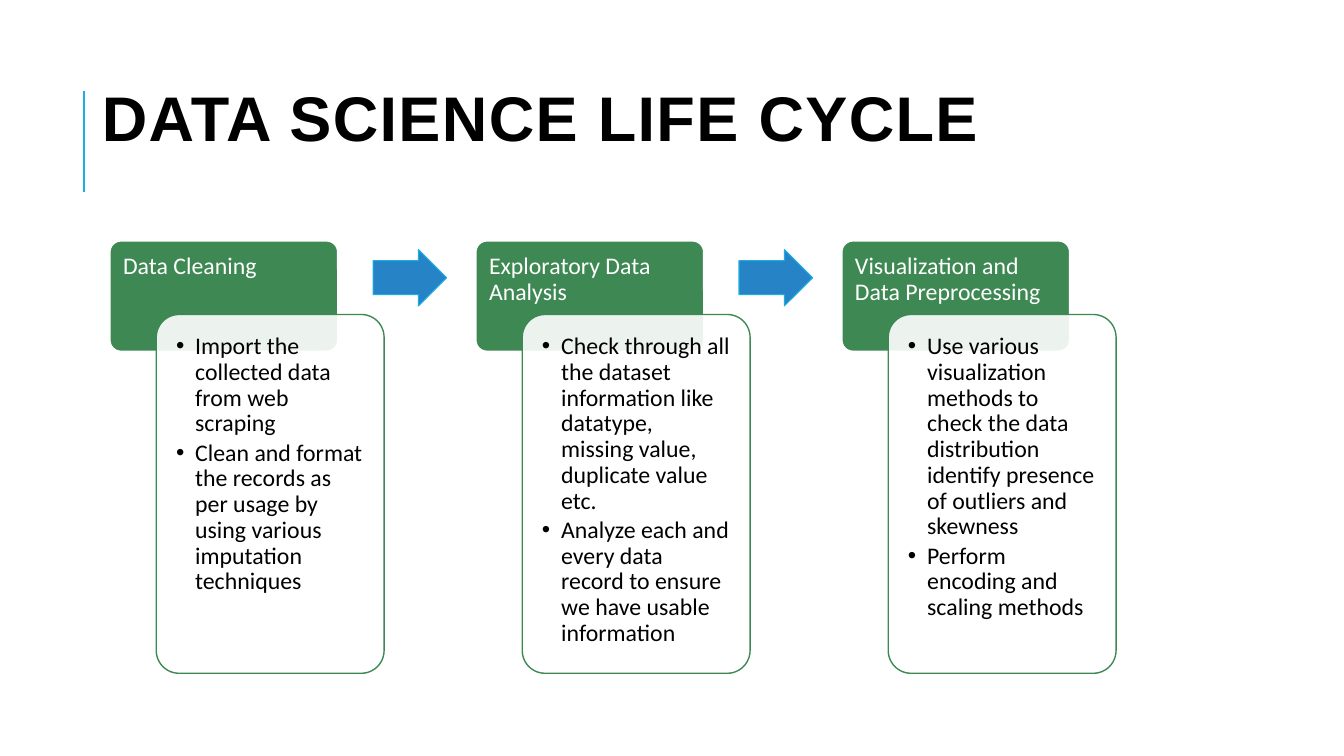
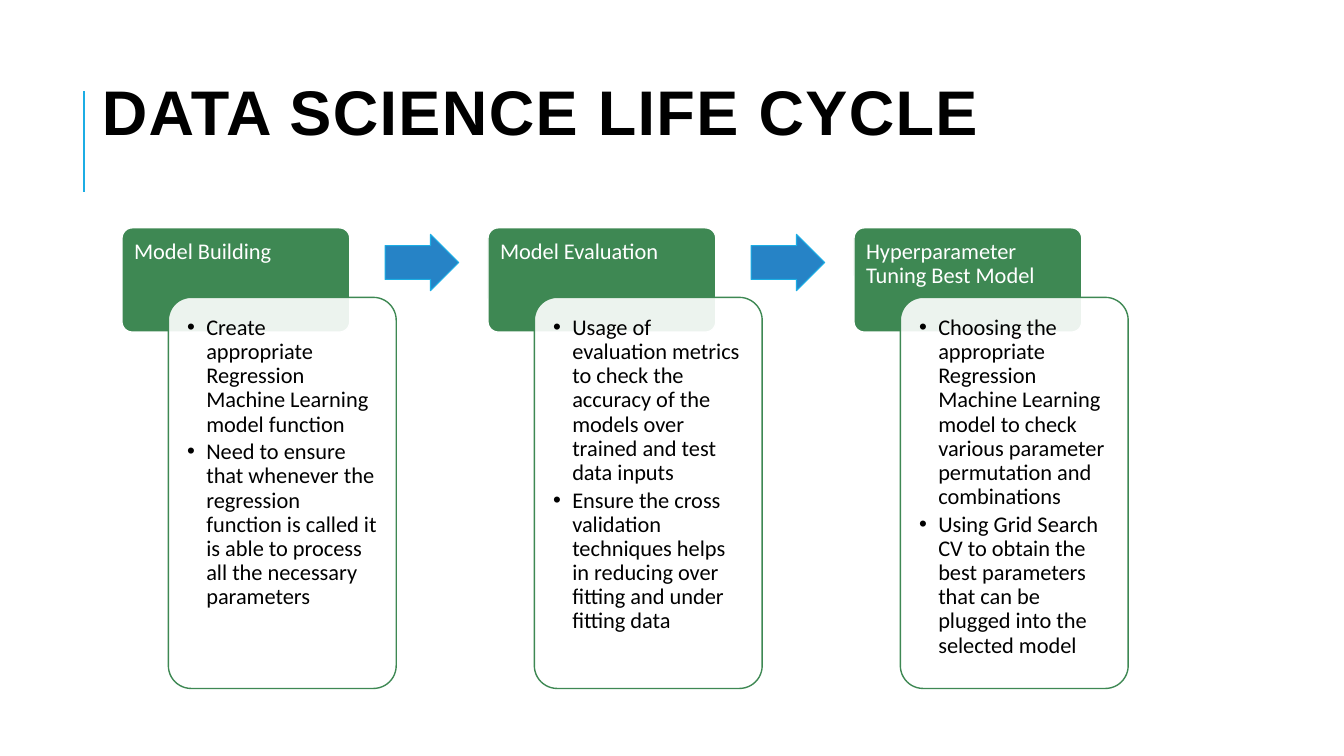
from dataclasses import dataclass

from lxml import etree
from pptx import Presentation
from pptx.dml.color import RGBColor
from pptx.enum.shapes import MSO_CONNECTOR, MSO_SHAPE
from pptx.enum.text import MSO_ANCHOR, PP_ALIGN
from pptx.oxml.ns import qn
from pptx.util import Inches, Pt

ROUND, ARROW = MSO_SHAPE.ROUNDED_RECTANGLE, MSO_SHAPE.RIGHT_ARROW
STRAIGHT = MSO_CONNECTOR.STRAIGHT
TOP, BOTTOM = MSO_ANCHOR.TOP, MSO_ANCHOR.BOTTOM
LEFT = PP_ALIGN.LEFT

TITLE = "DATA SCIENCE LIFE CYCLE"
SLIDES = [
    {
        "title_top": 0.49, "left": 1.09, "top": 2.39, "step": 0.73,
        "card_height": 3.56, "size": 17, "inset": 0.13, "gap": 2.5,
        "stages": [
            ("Data Cleaning", [
                "Import the collected data from web scraping",
                "Clean and format the records as per usage by using various "
                "imputation techniques",
            ]),
            ("Exploratory Data Analysis", [
                "Check through all the dataset information like datatype, "
                "missing value, duplicate value etc.",
                "Analyze each and every data record to ensure we have usable "
                "information",
            ]),
            ("Visualization and Data Preprocessing", [
                "Use various visualization methods to check the data "
                "distribution identify presence of outliers and skewness",
                "Perform encoding and scaling methods",
            ]),
        ],
    },
    {
        "title_top": 0.43, "left": 1.21, "top": 2.26, "step": 0.69,
        "card_height": 3.88, "size": 16, "inset": 0.12, "gap": 2.4,
        "stages": [
            ("Model Building", [
                "Create appropriate Regression Machine Learning model function",
                "Need to ensure that whenever the regression function is called "
                "it is able to process all the necessary parameters",
            ]),
            ("Model Evaluation", [
                "Usage of evaluation metrics to check the accuracy of the "
                "models over trained and test data inputs",
                "Ensure the cross validation techniques helps in reducing over "
                "fitting and under fitting data",
            ]),
            ("Hyperparameter Tuning Best Model", [
                "Choosing the appropriate Regression Machine Learning model to "
                "check various parameter permutation and combinations",
                "Using Grid Search CV to obtain the best parameters that can be "
                "plugged into the selected model",
            ]),
        ],
    },
]

PITCH, BOX_WIDTH, CARD_SHIFT = 3.63, 2.26, 0.46
ARROW_SHIFT, ARROW_WIDTH, ARROW_HEIGHT = 2.61, 0.73, 0.56
BULLET_INDENT = 0.19


@dataclass(frozen=True)
class Theme:
    green: RGBColor = RGBColor.from_string("3E8853")
    blue: RGBColor = RGBColor.from_string("2683C6")
    cyan: RGBColor = RGBColor.from_string("1CADE4")
    white: RGBColor = RGBColor.from_string("FFFFFF")
    black: RGBColor = RGBColor.from_string("000000")
    title_font: str = "Arial"
    body_font: str = "Calibri"
    title_size: int = 45


THEME = Theme()


def set_frame(tf, insets, anchor=TOP):
    sides = ("margin_left", "margin_top", "margin_right", "margin_bottom")
    values = dict(zip(sides, map(Inches, insets)))
    values.update(word_wrap=True, vertical_anchor=anchor)
    for name, value in values.items():
        setattr(tf, name, value)


def write(p, text, color, **font):
    p.alignment, p.line_spacing = LEFT, 0.9
    r = p.add_run()
    r.text = text
    for name, value in font.items():
        setattr(r.font, name, value)
    r.font.color.rgb = color
    return r


def add_box(s, kind, box, adjustments, fill, line, width):
    sp = s.shapes.add_shape(kind, *map(Inches, box))
    sp.shadow.inherit = False
    for i, value in enumerate(adjustments):
        sp.adjustments[i] = value
    sp.fill.solid()
    sp.fill.fore_color.rgb = fill
    sp.line.color.rgb = line
    sp.line.width = Pt(width)
    return sp


def add_title(s, top):
    rule = s.shapes.add_connector(
        STRAIGHT, *map(Inches, (0.83, 1.9, 0.83, 0.9)))
    rule.line.color.rgb = THEME.cyan
    rule.line.width = Pt(1.5)
    etree.SubElement(rule._element.spPr, qn("a:effectLst"))
    sp = s.shapes.add_textbox(*map(Inches, (1.01, top, 12.3, 1.1)))
    set_frame(sp.text_frame, (0, 0.05, 0, 0.05), BOTTOM)
    r = write(sp.text_frame.paragraphs[0], TITLE, THEME.black,
              name=THEME.title_font, size=Pt(THEME.title_size), bold=True)
    r.font._element.set("spc", "100")


def add_bullet(p):
    pPr = p._p.get_or_add_pPr()
    pPr.set("marL", str(Inches(BULLET_INDENT)))
    pPr.set("indent", str(-Inches(BULLET_INDENT)))
    etree.SubElement(pPr, qn("a:buFont")).set("typeface", THEME.title_font)
    etree.SubElement(pPr, qn("a:buChar")).set("char", "•")


def add_stage(s, x, layout, heading, points):
    top, step, inset = layout["top"], layout["step"], layout["inset"]
    font = {"name": THEME.body_font, "size": Pt(layout["size"])}

    header = add_box(s, ROUND, (x, top, BOX_WIDTH, 1.5 * step), [0.1],
                     THEME.green, THEME.white, 1)
    side = inset - 0.03
    set_frame(header.text_frame, (side, side, side, 0.07))
    write(header.text_frame.paragraphs[0], heading, THEME.white, **font)

    card = add_box(s, ROUND, (x + CARD_SHIFT, top + step, BOX_WIDTH,
                              layout["card_height"]), [0.1],
                   THEME.white, THEME.green, 1)
    color = card._element.spPr.find(qn("a:solidFill"))[0]
    etree.SubElement(color, qn("a:alpha")).set("val", "90000")
    tf = card.text_frame
    set_frame(tf, [inset] * 4)
    for i, point in enumerate(points):
        p = tf.add_paragraph() if i else tf.paragraphs[0]
        write(p, point, THEME.black, **font)
        p.space_before = Pt(layout["gap"] if i else 0)
        add_bullet(p)


def add_life_cycle(s, layout):
    add_title(s, layout["title_top"])
    arrow_top = layout["top"] + (layout["step"] - ARROW_HEIGHT) / 2
    for i, (heading, points) in enumerate(layout["stages"]):
        x = layout["left"] + i * PITCH
        if i:
            add_box(s, ARROW, (x - PITCH + ARROW_SHIFT, arrow_top,
                               ARROW_WIDTH, ARROW_HEIGHT), [0.6, 0.5],
                    THEME.blue, THEME.cyan, 0.75)
        add_stage(s, x, layout, heading, points)


def main():
    prs = Presentation()
    prs.slide_width, prs.slide_height = Inches(13.33), Inches(7.5)
    for layout in SLIDES:
        add_life_cycle(prs.slides.add_slide(prs.slide_layouts[6]), layout)
    prs.save("out.pptx")


if __name__ == "__main__":
    main()
